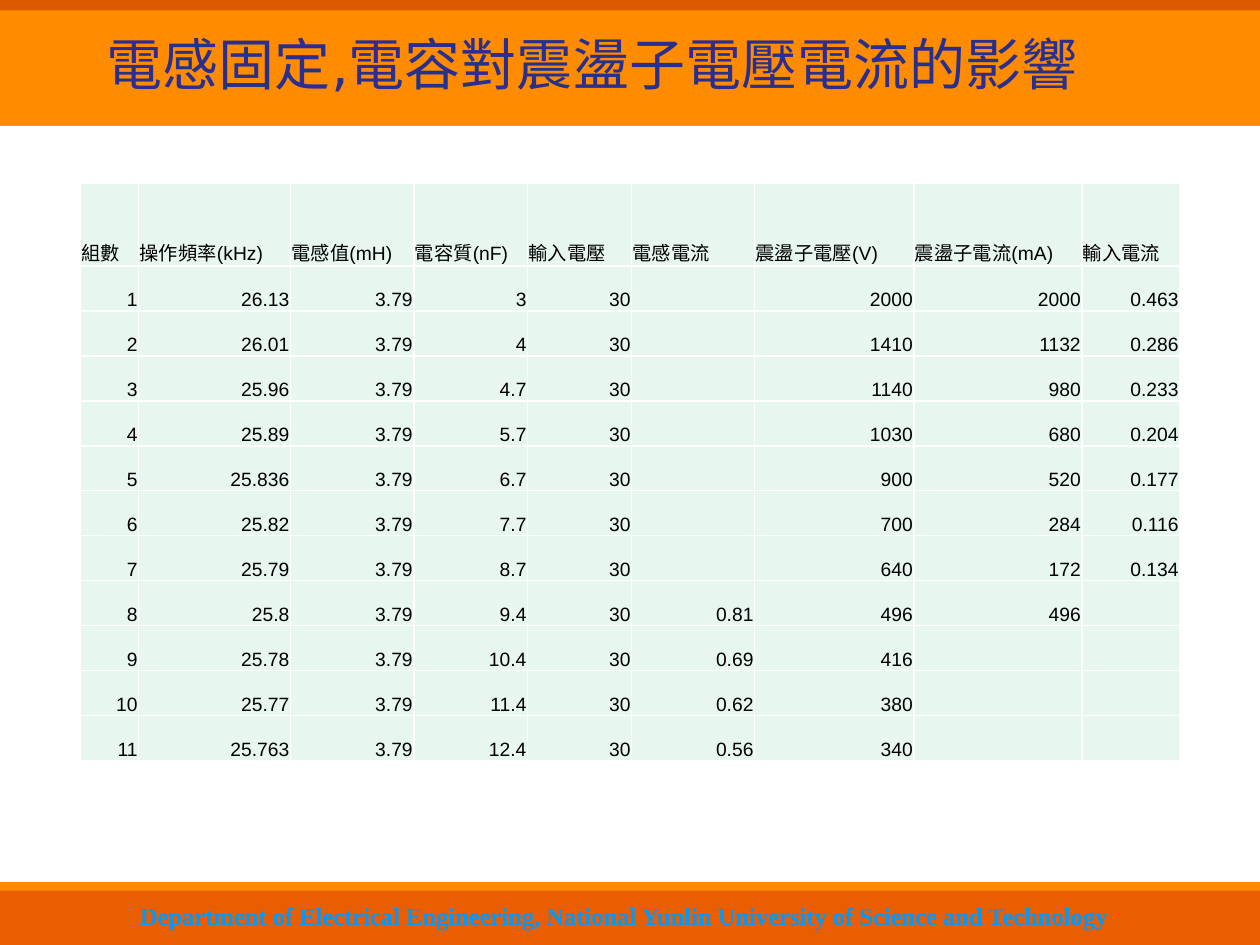
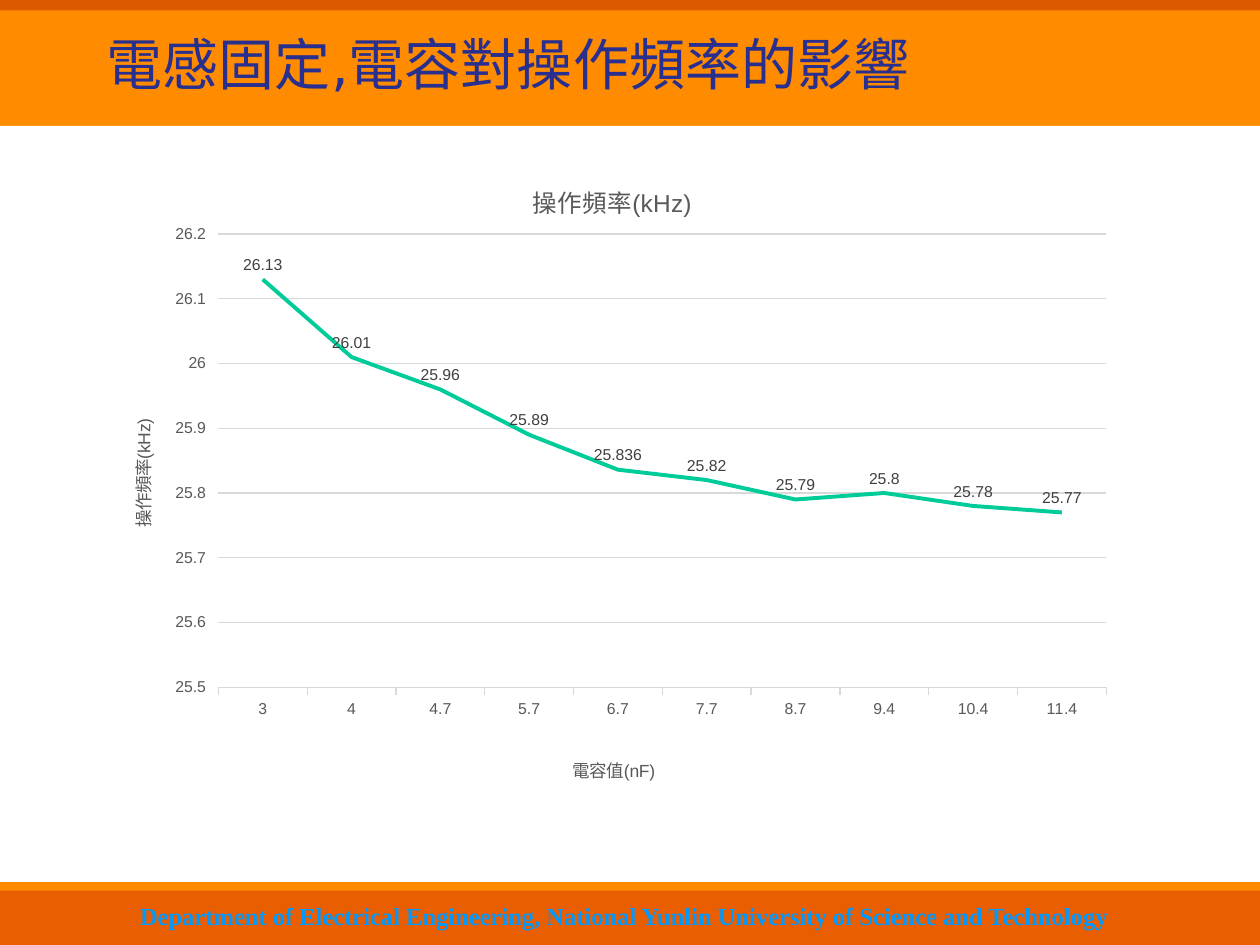
from dataclasses import dataclass

from lxml import etree
from pptx import Presentation
from pptx.chart.data import CategoryChartData
from pptx.dml.color import RGBColor
from pptx.enum import chart as charts, shapes, text
from pptx.oxml import ns
from pptx.util import Pt


@dataclass(frozen=True)
class Theme:
    """Colours, fonts and type sizes of the deck."""
    orange: str = "FF8C00"
    top_band: str = "DC5900"
    bottom_band: str = "E85E00"
    white: str = "FFFFFF"
    title: str = "282F8E"
    footer: str = "0099FF"
    footer_shadow: str = "B9D8EC"
    cell: str = "E7F6EF"
    black: str = "000000"
    series: str = "00CC99"
    grid: str = "D9D9D9"
    axis: str = "595959"
    label: str = "404040"
    title_font: str = "DejaVu Sans"
    body_font: str = "Arial"
    footer_font: str = "Times New Roman"
    title_size: int = 32
    footer_size: int = 14
    cell_size: int = 11
    chart_title_size: int = 14
    axis_title_size: int = 10
    tick_size: int = 9


THEME = Theme()
WIDTH, HEIGHT = 720, 540
DEPARTMENT = ("Department of Electrical Engineering, "
              "National Yunlin University of Science and Technology")
HEADERS = ["組數", "操作頻率(kHz)", "電感值(mH)", "電容質(nF)", "輸入電壓",
           "電感電流", "震盪子電壓(V)", "震盪子電流(mA)", "輸入電流"]
COLUMN_WIDTHS = [33.5, 86.75, 70.5, 65, 59.5, 70.25, 91, 96, 56]
INDUCTANCE, INPUT_VOLTAGE = "3.79", "30"
MEASUREMENTS = [
    ("26.13", "3", "", "2000", "2000", "0.463"),
    ("26.01", "4", "", "1410", "1132", "0.286"),
    ("25.96", "4.7", "", "1140", "980", "0.233"),
    ("25.89", "5.7", "", "1030", "680", "0.204"),
    ("25.836", "6.7", "", "900", "520", "0.177"),
    ("25.82", "7.7", "", "700", "284", "0.116"),
    ("25.79", "8.7", "", "640", "172", "0.134"),
    ("25.8", "9.4", "0.81", "496", "496", ""),
    ("25.78", "10.4", "0.69", "416", "", ""),
    ("25.77", "11.4", "0.62", "380", "", ""),
    ("25.763", "12.4", "0.56", "340", "", ""),
]


def rgb(value):
    """Turn a hex string into a colour."""
    return RGBColor.from_string(value)


def style_font(font, name, size, colour, bold=False):
    """Set the face, size, colour and weight of a font."""
    font.name, font.size, font.bold = name, Pt(size), bold
    font.color.rgb = rgb(colour)


def add_band(slide, top, height, colour):
    """Add a plain band across the whole slide."""
    band = slide.shapes.add_shape(shapes.MSO_SHAPE.RECTANGLE,
                                  0, Pt(top), Pt(WIDTH), Pt(height))
    band.shadow.inherit = False
    band.fill.solid()
    band.fill.fore_color.rgb = rgb(colour)
    band.line.fill.background()


def add_text(slide, box, words, alignment, **font):
    """Add one line of text centred vertically in a box and return its run."""
    frame = slide.shapes.add_textbox(*map(Pt, box)).text_frame
    frame.word_wrap = True
    frame.vertical_anchor = text.MSO_ANCHOR.MIDDLE
    paragraph = frame.paragraphs[0]
    paragraph.alignment = alignment
    run = paragraph.add_run()
    run.text = words
    style_font(run.font, **font)
    return run


def add_text_shadow(run, colour):
    """Give the letters of a run a small offset shadow."""
    effects = etree.fromstring(
        f'<a:effectLst {ns.nsdecls("a")}><a:outerShdw dist="17961" dir="2700000">'
        f'<a:srgbClr val="{colour}"/></a:outerShdw></a:effectLst>')
    run.font._element.find(ns.qn("a:solidFill")).addnext(effects)


def add_framed_slide(presentation, title):
    """Add a slide with the shared bands, title and footer."""
    slide = presentation.slides.add_slide(presentation.slide_layouts[6])
    for top, height, colour in [(0, HEIGHT, THEME.orange), (0, 6, THEME.top_band),
                                (72, 432, THEME.white), (509, 31, THEME.bottom_band)]:
        add_band(slide, top, height, colour)
    footer = add_text(slide, (65, 511, 584, 24), DEPARTMENT, text.PP_ALIGN.CENTER,
                      name=THEME.footer_font, size=THEME.footer_size,
                      colour=THEME.footer, bold=True)
    add_text_shadow(footer, THEME.footer_shadow)
    add_text(slide, (54, 0, 590, 72), title, text.PP_ALIGN.LEFT,
             name=THEME.title_font, size=THEME.title_size, colour=THEME.title)
    return slide


def add_borders(cell, colour):
    """Draw a one-point line on the four sides of a cell."""
    properties = cell._tc.get_or_add_tcPr()
    for side in "LRTB":
        properties.append(etree.fromstring(
            f'<a:ln{side} {ns.nsdecls("a")} w="12700"><a:solidFill>'
            f'<a:srgbClr val="{colour}"/></a:solidFill></a:ln{side}>'))


def fill_cell(cell, words, alignment):
    """Write and style one table cell."""
    add_borders(cell, THEME.white)
    cell.fill.solid()
    cell.fill.fore_color.rgb = rgb(THEME.cell)
    cell.margin_left = cell.margin_right = cell.margin_top = Pt(0.6)
    cell.margin_bottom = 0
    cell.vertical_anchor = text.MSO_ANCHOR.BOTTOM
    if words:
        paragraph = cell.text_frame.paragraphs[0]
        paragraph.alignment = alignment
        run = paragraph.add_run()
        run.text = words
        style_font(run.font, THEME.body_font, THEME.cell_size, THEME.black)


def add_measurement_table(slide, left, top, header_height, row_height):
    """Add the table of measurements with its corner at left and top."""
    rows = [HEADERS]
    for number, (frequency, capacitance, *rest) in enumerate(MEASUREMENTS, 1):
        current, *outputs = rest
        rows.append([str(number), frequency, INDUCTANCE, capacitance,
                     INPUT_VOLTAGE, current, *outputs])
    height = header_height + row_height * len(MEASUREMENTS)
    table = slide.shapes.add_table(len(rows), len(HEADERS), Pt(left), Pt(top),
                                   Pt(sum(COLUMN_WIDTHS)), Pt(height)).table
    table.first_row = table.horz_banding = False
    for column, width in zip(table.columns, COLUMN_WIDTHS):
        column.width = Pt(width)
    for index, words in enumerate(rows):
        table.rows[index].height = Pt(row_height if index else header_height)
        alignment = text.PP_ALIGN.RIGHT if index else text.PP_ALIGN.LEFT
        for cell, word in zip(table.rows[index].cells, words):
            fill_cell(cell, word, alignment)


def set_layout(element, **fractions):
    """Place a chart part by fractions of the chart's size."""
    old = element.find(ns.qn("c:layout"))
    if old is not None:
        element.remove(old)
    target = '<c:layoutTarget val="inner"/>' if "w" in fractions else ""
    modes = "".join(f'<c:{key}Mode val="edge"/>' for key in "xy")
    values = "".join(f'<c:{key} val="{value}"/>' for key, value in fractions.items())
    layout = etree.fromstring(f'<c:layout {ns.nsdecls("c")}><c:manualLayout>'
                              f'{target}{modes}{values}</c:manualLayout></c:layout>')
    words = element.find(ns.qn("c:tx"))
    element.insert(0 if words is None else 1, layout)


def set_chart_text(title, words, size, x, y):
    """Write a chart or axis title and place it."""
    run = title.text_frame.paragraphs[0].add_run()
    run.text = words
    style_font(run.font, THEME.body_font, size, THEME.axis)
    set_layout(title.element, x=x, y=y)


def style_axis(axis, title, x, y):
    """Style the ticks of an axis and add its title."""
    style_font(axis.tick_labels.font, THEME.body_font, THEME.tick_size, THEME.axis)
    axis.major_tick_mark = charts.XL_TICK_MARK.OUTSIDE
    axis.minor_tick_mark = charts.XL_TICK_MARK.NONE
    set_chart_text(axis.axis_title, title, THEME.axis_title_size, x, y)


def style_line(line, colour, width):
    """Set the colour and width of a line."""
    line.color.rgb = rgb(colour)
    line.width = Pt(width)


def add_frequency_chart(slide, box):
    """Add the line chart of frequency against capacitance in a box."""
    name = HEADERS[1]
    points = MEASUREMENTS[:10]
    data = CategoryChartData(number_format="General")
    data.categories = [point[1] for point in points]
    data.add_series(name, [float(point[0]) for point in points])
    chart = slide.shapes.add_chart(charts.XL_CHART_TYPE.LINE, *map(Pt, box), data).chart
    chart.has_legend = False
    style_font(chart.font, THEME.body_font, THEME.axis_title_size, THEME.black)
    set_chart_text(chart.chart_title, name, THEME.chart_title_size, 0.42, 0.05)
    chart.chart_title.include_in_layout = False
    plot = chart.plots[0]
    plot.vary_by_categories = False
    set_layout(chart.element.find(".//" + ns.qn("c:plotArea")),
               x=0.12, y=0.14, w=0.86, h=0.7)

    style_axis(chart.category_axis, "電容值(nF)", 0.46, 0.94)
    style_line(chart.category_axis.format.line, THEME.grid, 0.75)
    value_axis = chart.value_axis
    style_axis(value_axis, name, 0.03, 0.42)
    value_axis.axis_title.element.find(".//" + ns.qn("a:bodyPr")).set("rot", "-5400000")
    value_axis.format.line.fill.background()
    value_axis.minimum_scale, value_axis.maximum_scale = 25.5, 26.2
    value_axis.major_unit = 0.1
    style_line(value_axis.major_gridlines.format.line, THEME.grid, 0.75)

    series = plot.series[0]
    series.smooth = False
    series.marker.style = charts.XL_MARKER_STYLE.NONE
    style_line(series.format.line, THEME.series, 2.25)
    labels = series.data_labels
    labels.show_value = True
    labels.position = charts.XL_LABEL_POSITION.ABOVE
    style_font(labels.font, THEME.body_font, THEME.tick_size, THEME.label)


def main():
    """Build and save the two slides."""
    presentation = Presentation()
    presentation.slide_width, presentation.slide_height = Pt(WIDTH), Pt(HEIGHT)
    table_slide = add_framed_slide(presentation, "電感固定,電容對震盪子電壓電流的影響")
    add_measurement_table(table_slide, 45.75, 104.5, 47.5, 25.7)
    chart_slide = add_framed_slide(presentation, "電感固定,電容對操作頻率的影響")
    add_frequency_chart(chart_slide, (54, 82, 590, 370))
    presentation.save("out.pptx")


if __name__ == "__main__":
    main()
